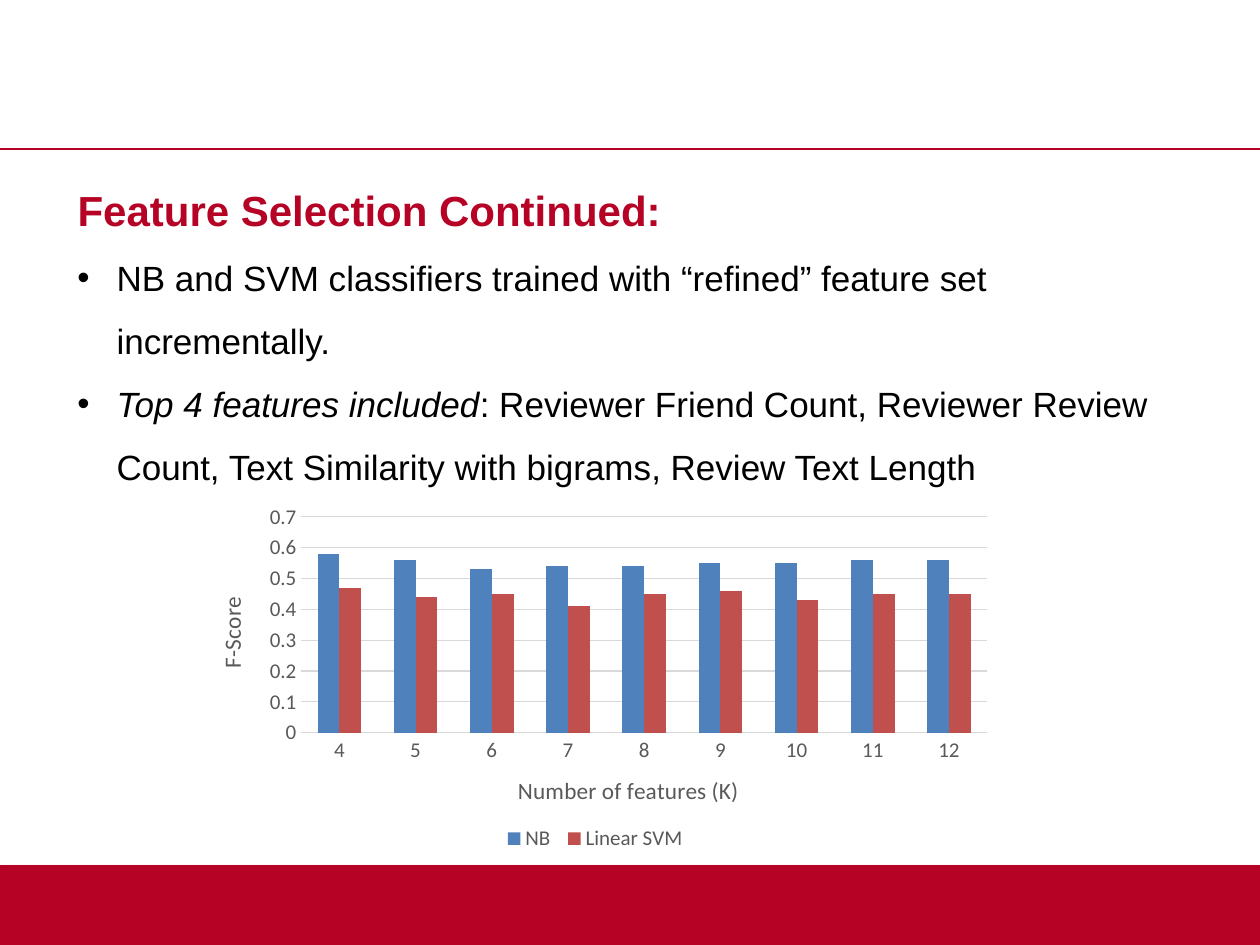
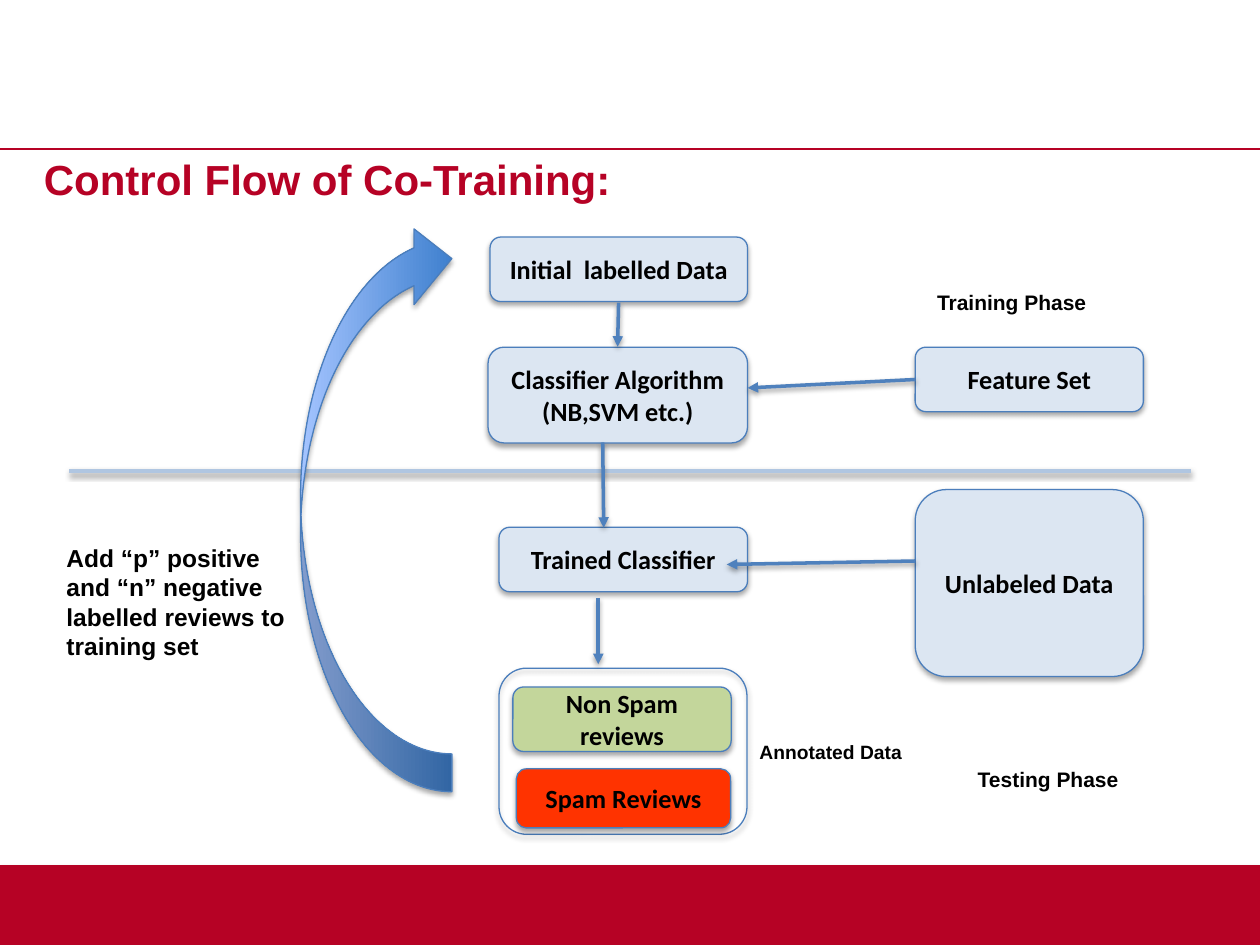
from collections import namedtuple

from pptx import Presentation
from pptx.chart.data import CategoryChartData
from pptx.dml.color import RGBColor
from pptx.enum.chart import XL_CHART_TYPE as ChartType
from pptx.enum.chart import XL_LEGEND_POSITION as LegendPosition
from pptx.enum.chart import XL_TICK_MARK as TickMark
from pptx.enum.shapes import MSO_CONNECTOR as Connector
from pptx.enum.shapes import MSO_SHAPE as Shape
from pptx.enum.text import MSO_ANCHOR as Anchor
from pptx.enum.text import PP_ALIGN as Align
from pptx.oxml import parse_xml
from pptx.oxml.ns import nsdecls, qn
from pptx.util import Cm, Pt

RED = "B60225"
BLACK = "000000"
GREY = "595959"
GRID = "D9D9D9"
PALE_BLUE = "DCE6F2"
OUTLINE = "4B7EBC"
ARROW = "4F81BD"
DIVIDER = "B0C6E1"
GREEN = "C3D69B"
SPAM_RED = "FF3300"

WIDTH, HEIGHT = 25.4, 19.05


class Box(namedtuple("Box", "left top width height")):
    def inner(self, left, top, width, height):
        return Box(self.left + left, self.top + top, width, height)

    def lengths(self):
        return [Cm(value) for value in self]


def color(hex_string):
    return RGBColor.from_string(hex_string)


def format_font(font, size=12, name="Arial", fill=BLACK, bold=False, italic=False):
    font.size = Pt(size)
    font.name = name
    font.bold = bold
    font.italic = italic
    font.color.rgb = color(fill)


def write(paragraph, text, align=Align.LEFT, **font_format):
    paragraph.alignment = align
    run = paragraph.add_run()
    run.text = text
    format_font(run.font, **font_format)


def add_shadow(shape, alpha=35, distance=1.8):
    properties = shape._element.spPr
    for effects in properties.findall(qn("a:effectLst")):
        properties.remove(effects)
    properties.append(parse_xml(
        f'<a:effectLst {nsdecls("a")}><a:outerShdw blurRad="{Pt(3.1)}" dist="{Pt(distance)}" '
        f'dir="5400000" rotWithShape="0"><a:srgbClr val="{BLACK}">'
        f'<a:alpha val="{alpha * 1000}"/></a:srgbClr></a:outerShdw></a:effectLst>'))


def add_block(slide, preset, box, fill=None, line=OUTLINE):
    shape = slide.shapes.add_shape(preset, *box.lengths())
    shape.shadow.inherit = False
    if fill:
        shape.fill.solid()
        shape.fill.fore_color.rgb = color(fill)
    else:
        shape.fill.background()
    if line:
        shape.line.color.rgb = color(line)
        shape.line.width = Pt(0.75)
    else:
        shape.line.fill.background()
    add_shadow(shape)
    return shape


def add_node(slide, box, text, fill=PALE_BLUE):
    frame = add_block(slide, Shape.ROUNDED_RECTANGLE, box, fill).text_frame
    frame.word_wrap = True
    frame.vertical_anchor = Anchor.MIDDLE
    write(frame.paragraphs[0], text, Align.CENTER, size=15, name="Calibri", bold=True)


def add_line(slide, start, end, stroke, width, shadow=True, arrow=False):
    ends = [Cm(value) for value in (*start, *end)]
    line = slide.shapes.add_connector(Connector.STRAIGHT, *ends)
    line.line.color.rgb = color(stroke)
    line.line.width = Pt(width)
    if arrow:
        line.line._get_or_add_ln().append(
            parse_xml(f'<a:tailEnd {nsdecls("a")} type="triangle"/>'))
    if shadow:
        add_shadow(line, 38, 1.6)
    else:
        line._element.spPr.append(parse_xml(f'<a:effectLst {nsdecls("a")}/>'))


def add_text_box(slide, box):
    frame = slide.shapes.add_textbox(*box.lengths()).text_frame
    frame.word_wrap = True
    return frame


def add_label(slide, box, text, size=12, align=Align.LEFT):
    write(add_text_box(slide, box).paragraphs[0], text, align, size=size, bold=True)


def add_titled_slide(presentation, title, box):
    slide = presentation.slides.add_slide(presentation.slide_layouts[5])
    add_block(slide, Shape.RECTANGLE, Box(0, 17.44, WIDTH, 1.61), RED, line=None)
    add_line(slide, (0, 3.01), (WIDTH, 3.01), RED, 1, shadow=False)
    placeholder = slide.shapes.title
    placeholder.left, placeholder.top, placeholder.width, placeholder.height = box.lengths()
    frame = placeholder.text_frame
    frame.word_wrap = True
    frame.vertical_anchor = Anchor.TOP
    write(frame.paragraphs[0], title, size=24, fill=RED, bold=True)
    return slide


def add_bullets(slide, box, bullets):
    frame = add_text_box(slide, box)
    for index, runs in enumerate(bullets):
        paragraph = frame.add_paragraph() if index else frame.paragraphs[0]
        paragraph.line_spacing = 1.5
        properties = paragraph._p.get_or_add_pPr()
        properties.set("marL", str(Cm(0.79)))
        properties.set("indent", str(-Cm(0.79)))
        properties.append(parse_xml(f'<a:buFont {nsdecls("a")} typeface="Arial"/>'))
        properties.append(parse_xml(f'<a:buChar {nsdecls("a")} char="•"/>'))
        for text, italic in runs:
            write(paragraph, text, size=20, italic=italic)


def set_layout(element, index, target="", **fractions):
    for layout in element.findall(qn("c:layout")):
        element.remove(layout)
    modes = "".join(f'<c:{axis}Mode val="edge"/>' for axis in "xy")
    values = "".join(f'<c:{key} val="{value}"/>' for key, value in fractions.items())
    element.insert(index, parse_xml(
        f'<c:layout {nsdecls("c")}><c:manualLayout>{target}{modes}{values}'
        f'</c:manualLayout></c:layout>'))


def format_axis(axis, title, left, top):
    axis.major_tick_mark = axis.minor_tick_mark = TickMark.NONE
    axis.format.line.fill.background()
    format_font(axis.tick_labels.font, 12, "Calibri", GREY)
    write(axis.axis_title.text_frame.paragraphs[0], title, Align.CENTER,
          size=13.3, name="Calibri", fill=GREY)
    set_layout(axis.axis_title._element, 1, x=left, y=top)


def add_score_chart(slide, box):
    data = CategoryChartData()
    data.categories = [str(count) for count in range(4, 13)]
    data.add_series("NB", (0.58, 0.56, 0.53, 0.54, 0.54, 0.55, 0.55, 0.56, 0.56))
    data.add_series("Linear SVM", (0.47, 0.44, 0.45, 0.41, 0.45, 0.46, 0.43, 0.45, 0.45))
    chart = slide.shapes.add_chart(ChartType.COLUMN_CLUSTERED, *box.lengths(), data).chart
    format_font(chart.font, 10, "Calibri")
    chart.has_title = False
    chart.has_legend = True
    chart.legend.position = LegendPosition.BOTTOM
    chart.legend.include_in_layout = False
    format_font(chart.legend.font, 12, "Calibri", GREY)
    set_layout(chart.legend._element, 1, x=0.38, y=0.86, w=0.24, h=0.08)

    plot = chart.plots[0]
    plot.gap_width = 150
    plot.overlap = 0
    plot.vary_by_categories = False
    for series, fill in zip(plot.series, (ARROW, "C0504D")):
        series.format.fill.solid()
        series.format.fill.fore_color.rgb = color(fill)

    format_axis(chart.category_axis, "Number of features (K)", 0.4, 0.72)
    value_axis = chart.value_axis
    format_axis(value_axis, "F-Score", 0.03, 0.25)
    value_axis.axis_title._element.find(".//" + qn("a:bodyPr")).set("rot", "-5400000")
    value_axis.minimum_scale, value_axis.maximum_scale, value_axis.major_unit = 0, 0.7, 0.1
    value_axis.tick_labels.number_format = "General"
    value_axis.tick_labels.number_format_is_linked = False
    value_axis.major_gridlines.format.line.color.rgb = color(GRID)
    value_axis.major_gridlines.format.line.width = Pt(0.75)

    chart_space = chart._chartSpace
    set_layout(chart_space.find(".//" + qn("c:plotArea")), 0,
               '<c:layoutTarget val="inner"/>', x=0.14, y=0.05, w=0.84, h=0.57)
    chart_space.find(qn("c:chart")).addnext(
        parse_xml(f'<c:spPr {nsdecls("c", "a")}><a:noFill/><a:ln><a:noFill/></a:ln></c:spPr>'))


def add_loop_arrow(slide, box):
    arrow = add_block(slide, Shape.CURVED_DOWN_ARROW, box, PALE_BLUE)
    arrow.rotation = 270
    arrow.fill.gradient()
    arrow.fill.gradient_angle = 90
    for stop, (position, shade) in zip(arrow.fill.gradient_stops, ((0, "3F80CE"), (1, "A4C4FF"))):
        stop.position = position
        stop.color.rgb = color(shade)


def add_training_flow(slide, box):
    def line(start, end, stroke=ARROW, arrow=True):
        points = [(box.left + x, box.top + y) for x, y in (start, end)]
        add_line(slide, *points, stroke, 2, arrow=arrow)

    line((0.4, 5), (23, 5), DIVIDER, arrow=False)
    add_loop_arrow(slide, box.inner(0.83, 4.18, 11.51, 3.05))
    add_block(slide, Shape.ROUNDED_RECTANGLE, box.inner(9.06, 8.97, 5, 3.35))

    nodes = [
        ("Initial  labelled Data", PALE_BLUE, (8.88, 0.28, 5.19, 1.3)),
        ("Classifier Algorithm (NB,SVM etc.)", PALE_BLUE, (8.84, 2.5, 5.23, 1.93)),
        ("Trained Classifier", PALE_BLUE, (9.06, 6.13, 5.01, 1.3)),
        ("Feature Set", PALE_BLUE, (17.45, 2.5, 4.6, 1.3)),
        ("Unlabeled Data", PALE_BLUE, (17.45, 5.37, 4.6, 3.77)),
        ("Non Spam reviews", GREEN, (9.34, 9.35, 4.4, 1.3)),
        ("Spam Reviews", SPAM_RED, (9.41, 11, 4.32, 1.19)),
    ]
    for text, fill, place in nodes:
        add_node(slide, box.inner(*place), text, fill)

    arrows = [
        ((11.47, 1.6), (11.45, 2.49)),
        ((11.15, 4.42), (11.17, 6.14)),
        ((11.06, 7.55), (11.06, 8.89)),
        ((17.45, 3.15), (14.07, 3.32)),
        ((17.45, 6.81), (13.65, 6.88)),
    ]
    for start, end in arrows:
        line(start, end)

    add_label(slide, box.inner(17.64, 1.22, 4.98, 0.76), "Training Phase")
    add_label(slide, box.inner(17.64, 10.82, 4.98, 0.76), "Testing Phase", align=Align.CENTER)
    add_label(slide, box.inner(14.06, 10.3, 3.61, 0.74), "Annotated Data", size=11)
    add_label(slide, box.inner(0.09, 6.32, 4.98, 2.64),
              "Add “p” positive and “n” negative labelled reviews to training set", size=14)


def build_feature_slide(presentation):
    slide = add_titled_slide(presentation, "Feature Selection Continued:",
                             Box(1.31, 3.59, 23.19, 1.02))
    add_bullets(slide, Box(1.31, 4.63, 23.19, 5.3), [
        [("NB and SVM classifiers trained with “refined” feature set incrementally.", False)],
        [("Top 4 features included", True),
         (": Reviewer Friend Count, Reviewer Review Count, Text Similarity with bigrams, "
          "Review Text Length", False)],
    ])
    add_score_chart(slide, Box(3.77, 10.04, 16.46, 7.63))


def build_flow_slide(presentation):
    slide = add_titled_slide(presentation, "Control Flow of Co-Training:",
                             Box(0.63, 2.97, 15.16, 1.27))
    add_training_flow(slide, Box(1, 4.5, 23, 12.5))


def main():
    presentation = Presentation()
    presentation.slide_width = Cm(WIDTH)
    presentation.slide_height = Cm(HEIGHT)
    build_feature_slide(presentation)
    build_flow_slide(presentation)
    presentation.save("out.pptx")


if __name__ == "__main__":
    main()
